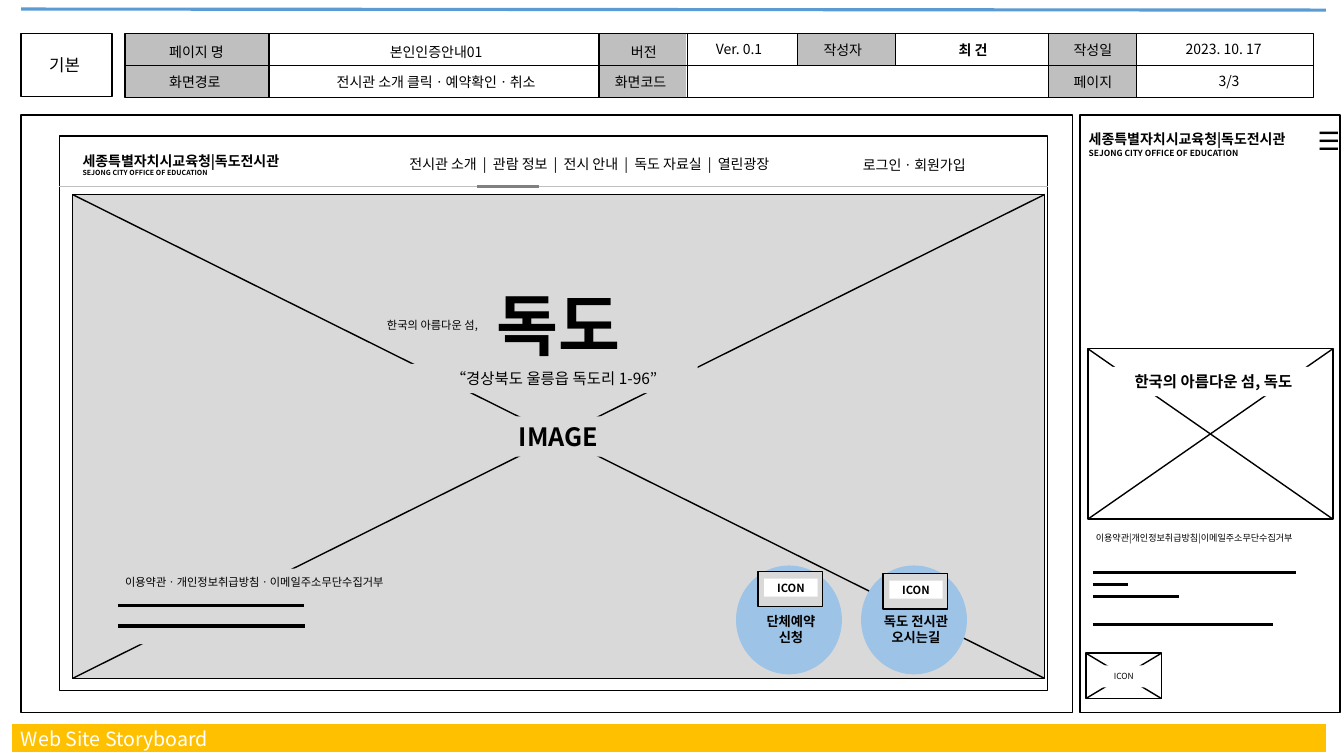
from lxml import etree
from pptx import Presentation
from pptx import util as u
from pptx.dml.color import RGBColor
from pptx.enum import shapes, text
from pptx.oxml.ns import qn

FONT = "Noto Sans CJK KR"
BLACK, WHITE = "000000", "FFFFFF"
LABEL_GRAY, IMAGE_GRAY = "BFBFBF", "D9D9D9"
LEFT, CENTER = text.PP_ALIGN.LEFT, text.PP_ALIGN.CENTER
ORGANIZATION = "세종특별자치시교육청|독도전시관"
ORGANIZATION_ENGLISH = "SEJONG CITY OFFICE OF EDUCATION"


def color(hex_string):
    return RGBColor.from_string(hex_string)


def inches(*lengths):
    return [u.Inches(length) for length in lengths]


def write(shape, lines, align=LEFT, bold=False, ink=BLACK):
    """Fill a shape with paragraphs given as (words, size) pairs."""
    frame = shape.text_frame
    frame.word_wrap = True
    for index, (words, size) in enumerate(lines):
        paragraph = frame.add_paragraph() if index else frame.paragraphs[0]
        paragraph.alignment = align
        run = paragraph.add_run()
        run.text = words
        run.font.size = u.Pt(size)
        run.font.bold = bold
        run.font.color.rgb = color(ink)
        run.font.name = FONT
        east_asian = etree.SubElement(run._r.get_or_add_rPr(), qn("a:ea"))
        east_asian.set("typeface", FONT)


def add_text(slide, box, lines, **style):
    write(slide.shapes.add_textbox(*inches(*box)), lines, **style)


def add_box(slide, box, fill=None, outline=None, kind=shapes.MSO_SHAPE.RECTANGLE):
    shape = slide.shapes.add_shape(kind, *inches(*box))
    shape.shadow.inherit = False
    if fill:
        shape.fill.solid()
        shape.fill.fore_color.rgb = color(fill)
    else:
        shape.fill.background()
    if outline:
        shape.line.color.rgb = color(outline)
        shape.line.width = u.Pt(1)
    else:
        shape.line.fill.background()
    return shape


def add_label(slide, box, words, size, fill, align=CENTER, bold=False):
    """Place a filled box without outline that carries text."""
    write(add_box(slide, box, fill), [(words, size)], align=align, bold=bold)


def add_line(slide, x1, y1, x2, y2, ink=BLACK, width=1.0):
    line = slide.shapes.add_connector(shapes.MSO_CONNECTOR.STRAIGHT, *inches(x1, y1, x2, y2))
    line.line.color.rgb = color(ink)
    line.line.width = u.Pt(width)
    etree.SubElement(line._element.spPr, qn("a:effectLst"))
    return line


def add_crossed_box(slide, box, fill):
    left, top, width, height = box
    add_box(slide, box, fill, BLACK)
    add_line(slide, left, top, left + width, top + height)
    add_line(slide, left, top + height, left + width, top)


def add_text_bars(slide, left, bars):
    """Draw thick strokes standing for text, given as (y, length)."""
    for y, length in bars:
        add_line(slide, left, y, left + length, y, width=2.25)


def add_page_frame(slide, box):
    left, top, width, height = box
    right, bottom = left + width, top + height
    add_line(slide, left + 0.09, top + 0.09, right, top + 0.1, "5B9BD5", 2.25)
    add_line(slide, left, bottom - 0.18, right, bottom - 0.18, "FFC000", 20)
    add_text(slide, (left - 0.01, bottom - 0.34, 2.61, 0.34),
             [("Web Site Storyboard", 14)], ink=WHITE)
    add_box(slide, (left + 0.09, top + 0.33, 0.9, 0.63), WHITE, BLACK)
    add_text(slide, (left + 0.27, top + 0.49, 0.54, 0.36), [("기본", 12)])


def add_page_info(slide, box):
    left, top, width, height = box
    middle = top + height / 2
    # Column offset and width of each shaded label, and the rows it spans
    for x, label_width, rows in [(9.16, 0.88, 2), (0, 1.44, 2), (4.7, 0.87, 2), (6.67, 0.97, 1)]:
        add_box(slide, (left + x, top, label_width, height * rows / 2), LABEL_GRAY, WHITE)
    frame = add_box(slide, box, outline=BLACK)
    divider = add_line(slide, left, middle, left + width, middle)
    divider.begin_connect(frame, 1)
    divider.end_connect(frame, 3)
    for x, rows in [(1.43, 2), (4.7, 2), (5.58, 2), (6.67, 1), (7.64, 1), (9.16, 2), (10.03, 2)]:
        add_line(slide, left + x, top, left + x, top + height * rows / 2)

    entries = [
        ("페이지 명", 0.34, 0.05, 0.94, LEFT), ("화면경로", 0.34, 0.35, 0.94, LEFT),
        ("본인인증안내01", 1.6, 0.05, 2.97, CENTER),
        ("전시관 소개 클릭ㆍ예약확인ㆍ취소", 1.6, 0.35, 2.97, CENTER),
        ("버전", 4.77, 0.05, 0.75, CENTER), ("화면코드", 4.76, 0.35, 0.76, LEFT),
        ("Ver. 0.1", 5.66, 0.02, 0.86, CENTER), ("작성자", 6.83, 0.03, 0.67, LEFT),
        ("최 건", 7.98, 0.03, 0.86, CENTER),
        ("작성일", 9.31, 0.03, 0.62, LEFT), ("페이지", 9.31, 0.35, 0.62, LEFT),
        ("2023. 10. 17", 10.39, 0.02, 1.01, CENTER), ("3/3", 10.35, 0.34, 1.2, CENTER),
    ]
    for words, x, y, entry_width, align in entries:
        add_text(slide, (left + x, top + y, entry_width, 0.27), [(words, 10)],
                 align=align, bold=words == "최 건")


def add_site_header(slide, box):
    left, top, width, height = box
    bottom = top + height
    add_text(slide, (left + 0.13, top + 0.11, 2.52, 0.35),
             [(ORGANIZATION, 10), (ORGANIZATION_ENGLISH, 5)], bold=True)
    menu = ["전시관 소개", "관람 정보", "전시 안내", "독도 자료실", "열린광장"]
    add_text(slide, (left + 3.03, top + 0.14, 4.45, 0.27),
             [("  |  ".join(menu), 10)], align=CENTER)
    add_text(slide, (left + 7.87, top + 0.15, 1.32, 0.27), [("로그인ㆍ회원가입", 10)])
    add_line(slide, left, bottom, left + width, bottom, LABEL_GRAY, 0.5)
    add_line(slide, left + 4.14, bottom, left + 4.76, bottom, "808080", 2.25)


def add_round_button(slide, box, lines, icon_top):
    left, top, width, height = box
    add_box(slide, box, "9DC3E6", kind=shapes.MSO_SHAPE.OVAL)
    add_text(slide, (left + 0.07, top + 0.42, 0.95, 0.42),
             [(words, 9.5) for words in lines], align=CENTER, bold=True)
    add_box(slide, (left + 0.22, top + icon_top, 0.64, 0.35), IMAGE_GRAY, BLACK)
    add_label(slide, (left + 0.28, top + icon_top + 0.07, 0.53, 0.18), "ICON", 8, WHITE, bold=True)


def add_hero(slide, box):
    left, top, width, height = box
    add_crossed_box(slide, box, IMAGE_GRAY)
    add_box(slide, (left + 0.06, top + 3.71, 2.41, 0.75), IMAGE_GRAY)
    captions = [
        ("이용약관ㆍ개인정보취급방침ㆍ이메일주소무단수집거부", 8, False, 0.22, 3.72, 3.17, 0.24),
        ("IMAGE", 18, True, 3.06, 2.2, 3.52, 0.4),
        ("독도", 48, True, 3.95, 0.83, 1.74, 0.91),
        ("한국의 아름다운 섬,", 8, False, 2.97, 1.17, 1.2, 0.24),
        ("“경상북도 울릉읍 독도리 1-96”", 11, False, 3.35, 1.68, 2.85, 0.29),
    ]
    for words, size, bold, x, y, label_width, label_height in captions:
        add_label(slide, (left + x, top + y, label_width, label_height),
                  words, size, IMAGE_GRAY, bold=bold)
    add_text_bars(slide, left + 0.45, [(top + 4.08, 1.85), (top + 4.28, 1.86)])
    buttons = [(6.58, ["단체예약", "신청"], 0.06), (7.82, ["독도 전시관", "오시는길"], 0.08)]
    for x, lines, icon_top in buttons:
        add_round_button(slide, (left + x, top + 3.68, 1.05, 1.08), lines, icon_top)


def add_desktop_view(slide, box):
    left, top, width, height = box
    add_box(slide, box, WHITE, BLACK)
    add_box(slide, (left + 0.38, top + 0.21, 9.8, 5.5), WHITE, BLACK)
    add_site_header(slide, (left + 0.38, top + 0.21, 9.8, 0.5))
    add_hero(slide, (left + 0.51, top + 0.79, 9.64, 4.8))


def add_mobile_view(slide, box):
    left, top, width, height = box
    add_box(slide, box, WHITE, BLACK)
    add_text(slide, (left - 0.01, top + 0.11, 2.34, 0.4),
             [(ORGANIZATION, 10), (ORGANIZATION_ENGLISH, 6)], bold=True)
    add_text(slide, (left + 2.26, top + 0.05, 0.3, 0.44), [("☰", 18)], align=CENTER)
    add_crossed_box(slide, (left + 0.08, top + 2.32, 2.43, 1.69), WHITE)
    add_label(slide, (left + 0.29, top + 2.5, 2.07, 0.29),
              "한국의 아름다운 섬, 독도", 11, WHITE, bold=True)
    add_label(slide, (left + 0.06, top + 4.09, 2.46, 0.21),
              "이용약관|개인정보취급방침|이메일주소무단수집거부", 6.5, WHITE, align=LEFT)
    bars = [(4.54, 2.01), (4.66, 0.35), (4.78, 0.85), (5.06, 1.79)]
    add_text_bars(slide, left + 0.13, [(top + y, length) for y, length in bars])
    add_crossed_box(slide, (left + 0.06, top + 5.34, 0.75, 0.45), WHITE)
    add_label(slide, (left + 0.18, top + 5.46, 0.51, 0.22), "ICON", 6, WHITE)


def main():
    presentation = Presentation()
    presentation.slide_width, presentation.slide_height = inches(13.33, 7.5)
    slide = presentation.slides.add_slide(presentation.slide_layouts[6])
    add_page_frame(slide, (0.12, 0, 13.03, 7.5))
    add_page_info(slide, (1.24, 0.33, 11.79, 0.64))
    add_desktop_view(slide, (0.21, 1.14, 10.43, 5.93))
    add_mobile_view(slide, (10.71, 1.14, 2.58, 5.93))
    presentation.save("out.pptx")


if __name__ == "__main__":
    main()
